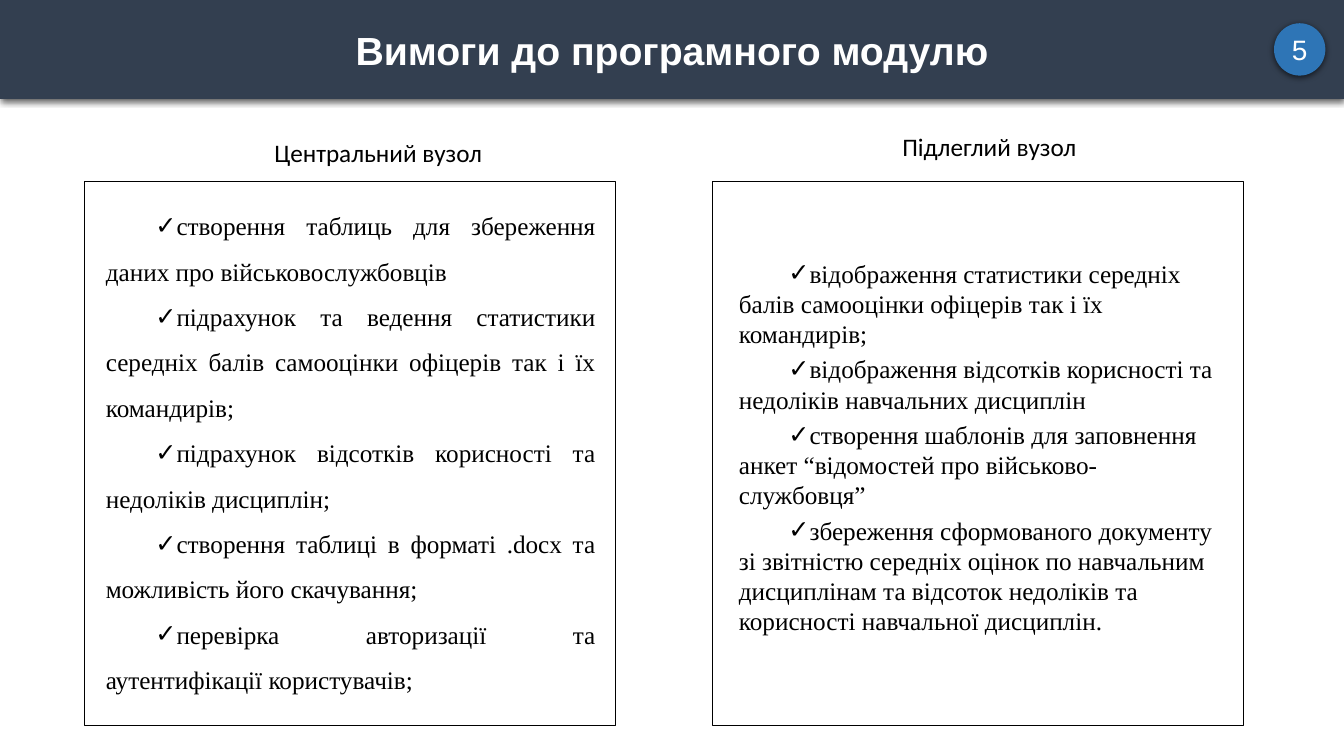
from lxml.etree import SubElement
from pptx import Presentation
from pptx.dml.color import RGBColor
from pptx.enum.shapes import MSO_SHAPE as Preset
from pptx.enum.text import MSO_ANCHOR as Anchor, MSO_AUTO_SIZE as AutoSize, PP_ALIGN as Align
from pptx.oxml.ns import qn
from pptx.util import Pt

COLORS = {"band": "333F50", "badge": "2E75B6", "paper": "FFFFFF", "ink": "000000"}
FIRST_LINE = 35.4
FRAME_TOP, FRAME_WIDTH, FRAME_HEIGHT = 129.6, 379.4, 388.8

CENTRAL_TASKS = [
    "створення таблиць для збереження даних про військовослужбовців",
    "підрахунок та ведення статистики середніх балів самооцінки офіцерів так і їх командирів;",
    "підрахунок відсотків корисності та недоліків дисциплін;",
    "створення таблиці в форматі .docx та можливість його скачування;",
    "перевірка авторизації та аутентифікації користувачів;",
]
SUBORDINATE_TASKS = [
    "відображення статистики середніх балів самооцінки офіцерів так і їх командирів;",
    "відображення відсотків корисності та недоліків навчальних дисциплін",
    "створення шаблонів для заповнення анкет “відомостей про військово-службовця”",
    "збереження сформованого документу зі звітністю середніх оцінок по навчальним "
    "дисциплінам та відсоток недоліків та корисності навчальної дисциплін.",
]


def color(name):
    return RGBColor.from_string(COLORS[name])


def place(shape, left, top, width, height):
    shape.left, shape.top = Pt(left), Pt(top)
    shape.width, shape.height = Pt(width), Pt(height)


def paint(shape, fill=None, line=None, weight=0.75):
    if fill:
        shape.fill.solid()
        shape.fill.fore_color.rgb = color(fill)
    else:
        shape.fill.background()
    if line:
        shape.line.color.rgb = color(line)
        shape.line.width = Pt(weight)
    else:
        shape.line.fill.background()
    shape.shadow.inherit = False


def cast_shadow(shape):
    effects = shape._element.spPr.find(qn("a:effectLst"))
    shadow = SubElement(effects, qn("a:outerShdw"), blurRad=str(Pt(4.5)),
                        dist=str(Pt(1.5)), dir="5400000", algn="t", rotWithShape="0")
    black = SubElement(shadow, qn("a:srgbClr"), val=COLORS["ink"])
    SubElement(black, qn("a:alpha"), val="63000")


def write(para, text, font, size, ink, bold=False):
    span = para.add_run()
    span.text = text
    span.font.name, span.font.size, span.font.bold = font, Pt(size), bold
    span.font.color.rgb = color(ink)


def write_centered(shape, text, size, bold=False):
    frame = shape.text_frame
    frame.vertical_anchor = Anchor.MIDDLE
    frame.auto_size = AutoSize.NONE
    para = frame.paragraphs[0]
    para.alignment = Align.CENTER
    write(para, text, "Arial", size, "paper", bold)


def write_indented(shape, texts, font, align, spacing, before=0, bullet=None):
    frame = shape.text_frame
    frame.word_wrap = True
    frame.auto_size = AutoSize.SHAPE_TO_FIT_TEXT
    frame.vertical_anchor = Anchor.TOP
    for number, text in enumerate(texts):
        para = frame.add_paragraph() if number else frame.paragraphs[0]
        para.alignment, para.line_spacing = align, spacing
        para.space_before, para.space_after = Pt(before), Pt(0)
        props = para._p.get_or_add_pPr()
        props.set("marL", "0")
        props.set("indent", str(Pt(FIRST_LINE)))
        if bullet:
            SubElement(props, qn("a:buChar"), char=bullet)
        write(para, text, font, 18, "ink")


def add_frame(page, left):
    frame = page.shapes.add_shape(Preset.RECTANGLE, Pt(left), Pt(FRAME_TOP),
                                  Pt(FRAME_WIDTH), Pt(FRAME_HEIGHT))
    paint(frame, "paper", "ink", 1)
    # Frames lie behind the lists
    page.shapes.title._element.addprevious(frame._element)


def fill_heading(box, text, left, top):
    place(box, left, top, 205.9, 40.3)
    write_indented(box, [text], "Calibri", Align.JUSTIFY, 1.5)


def fill_list(box, tasks, bounds, align, spacing, before):
    place(box, *bounds)
    paint(box, line="paper")
    write_indented(box, tasks, "Times New Roman", align, spacing, before, "✓")


def main():
    deck = Presentation()
    deck.slide_width, deck.slide_height = Pt(960), Pt(540)
    page = deck.slides.add_slide(deck.slide_layouts.get_by_name("Comparison"))
    title, left_head, left_list, right_head, right_list = page.placeholders

    # Title band
    place(title, 0, 0, 960, 70.6)
    paint(title, "band")
    cast_shadow(title)
    write_centered(title, "Вимоги до програмного модулю", 28, bold=True)

    # Page number badge
    badge = page.shapes.add_shape(Preset.OVAL, Pt(910), Pt(16.6), Pt(36.7), Pt(37.4))
    paint(badge, "badge")
    cast_shadow(badge)
    badge.text_frame.word_wrap = False
    write_centered(badge, "5", 20)

    # Column frames
    for left in (509, 60.5):
        add_frame(page, left)

    # Central node
    fill_heading(left_head, "Центральний вузол", 153.4, 83.5)
    fill_list(left_list, CENTRAL_TASKS, (68.4, 136.1, 364.3, 367.2), Align.JUSTIFY, 1.5, 0)

    # Subordinate node
    fill_heading(right_head, "Підлеглий вузол", 601.9, 79.2)
    fill_list(right_list, SUBORDINATE_TASKS, (520.6, 180.7, 354.2, 311), Align.LEFT, 1.0, 3.6)

    deck.save("out.pptx")


if __name__ == "__main__":
    main()
